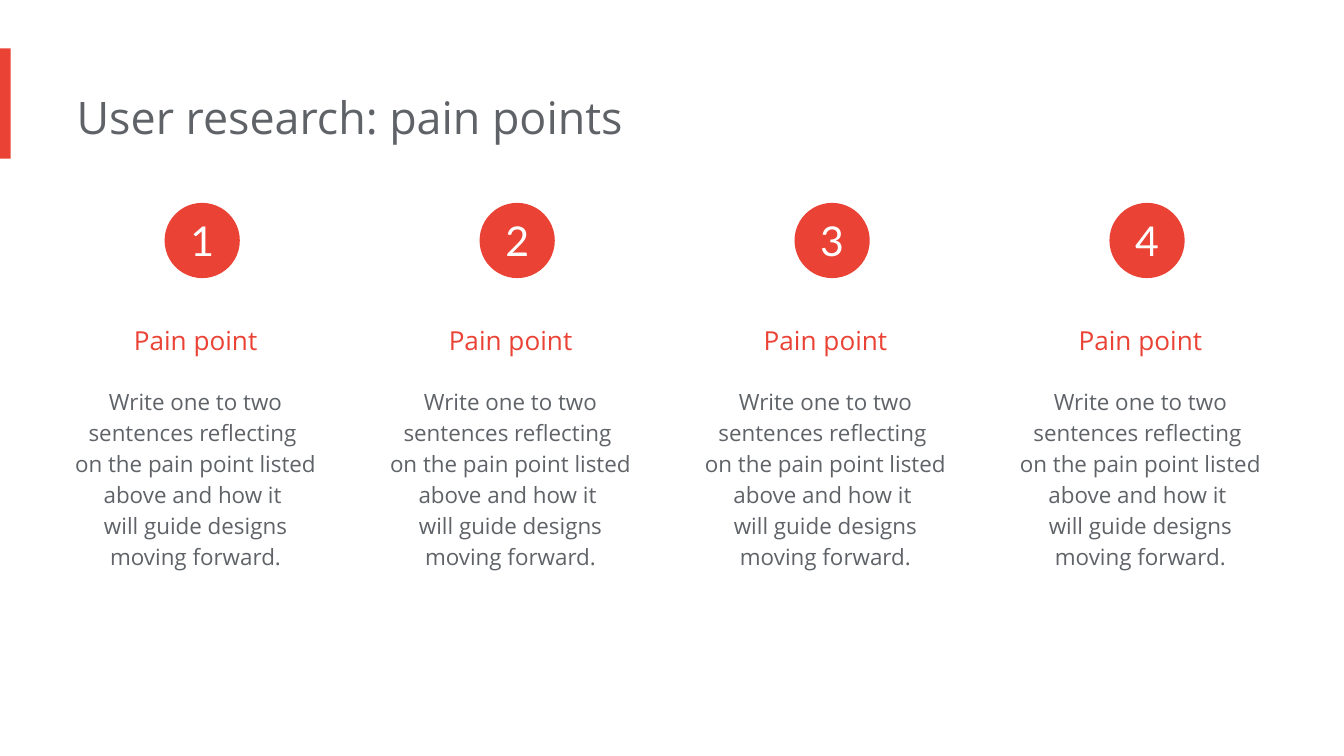
from copy import deepcopy
from pptx import Presentation
from pptx.dml.color import RGBColor
from pptx.enum.shapes import MSO_SHAPE
from pptx.enum.text import MSO_ANCHOR, MSO_AUTO_SIZE, PP_ALIGN
from pptx.oxml.ns import qn
from pptx.util import Inches, Pt

COLORS = {"red": "EA4335", "gray": "5F6368", "white": "FFFFFF"}
FORMATS = {
    "title": {"name": "Open Sans", "size": Pt(24), "color": "gray"},
    "head": {"name": "Open Sans", "size": Pt(14), "color": "red"},
    "body": {"name": "Open Sans", "size": Pt(12), "color": "gray"},
    "badge": {"name": "Lato", "size": Pt(22), "color": "white"},
}
BODY = ("Write one to two sentences reflecting \v"
        "on the pain point listed above and how it \v"
        "will guide designs moving forward.")

# Grid: four equal columns between the first and last left edge
COLS, LEFT, LAST, WIDTH = 4, 0.48, 7.51, 2.05
STEP = (LAST - LEFT) / (COLS - 1)
BADGE = 0.56
INSET = (WIDTH - BADGE) / 2


def write(shape, text, style, align=PP_ALIGN.CENTER, spacing=1.0,
          pad=0.1, anchor=MSO_ANCHOR.TOP, fit=MSO_AUTO_SIZE.SHAPE_TO_FIT_TEXT):
    frame = shape.text_frame
    settings = {"word_wrap": True, "auto_size": fit, "vertical_anchor": anchor,
                "margin_left": 0, "margin_top": Inches(pad),
                "margin_right": Inches(pad), "margin_bottom": Inches(pad)}
    for key, value in settings.items():
        setattr(frame, key, value)
    para = frame.paragraphs[0]
    para.text = text
    para.alignment, para.line_spacing = align, spacing
    for run in para.runs:
        for key, value in FORMATS[style].items():
            if key == "color":
                run.font.color.rgb = RGBColor.from_string(COLORS[value])
            else:
                setattr(run.font, key, value)
    # Line breaks take the size of the text around them
    for br in para._p.findall(qn("a:br")):
        br.append(deepcopy(para.runs[0].font._element))


def block(kind, x, y, w, h):
    shape = slide.shapes.add_shape(kind, Inches(x), Inches(y), Inches(w), Inches(h))
    shape.shadow.inherit = False
    shape.fill.solid()
    shape.fill.fore_color.rgb = RGBColor.from_string(COLORS["red"])
    shape.line.fill.background()
    return shape


# Widescreen slide, 16 to 9
deck = Presentation()
deck.slide_width = Inches(10)
deck.slide_height = deck.slide_width * 9 // 16
slide = deck.slides.add_slide(deck.slide_layouts[5])

# Accent bar and title
block(MSO_SHAPE.RECTANGLE, 0, 0.36, 0.08, 0.82)
title = slide.shapes.title
place = {"left": 0.57, "top": 0.57, "width": 6.73, "height": 0.6}
for key, value in place.items():
    setattr(title, key, Inches(value))
write(title, "User research: pain points", "title", PP_ALIGN.LEFT)

# Columns: heading and description, then the numbered badge
for col in range(COLS):
    x = LEFT + col * STEP
    for text, style, top, height, spacing in (
            ("Pain point", "head", 2.2, 0.55, 1.5),
            (BODY, "body", 2.76, 1.58, 1.15)):
        box = slide.shapes.add_textbox(Inches(x), Inches(top),
                                       Inches(WIDTH), Inches(height))
        write(box, text, style, spacing=spacing)
    badge = block(MSO_SHAPE.OVAL, x + INSET, 1.51, BADGE, BADGE)
    write(badge, str(col + 1), "badge", pad=0,
          anchor=MSO_ANCHOR.MIDDLE, fit=MSO_AUTO_SIZE.NONE)

deck.save("out.pptx")
